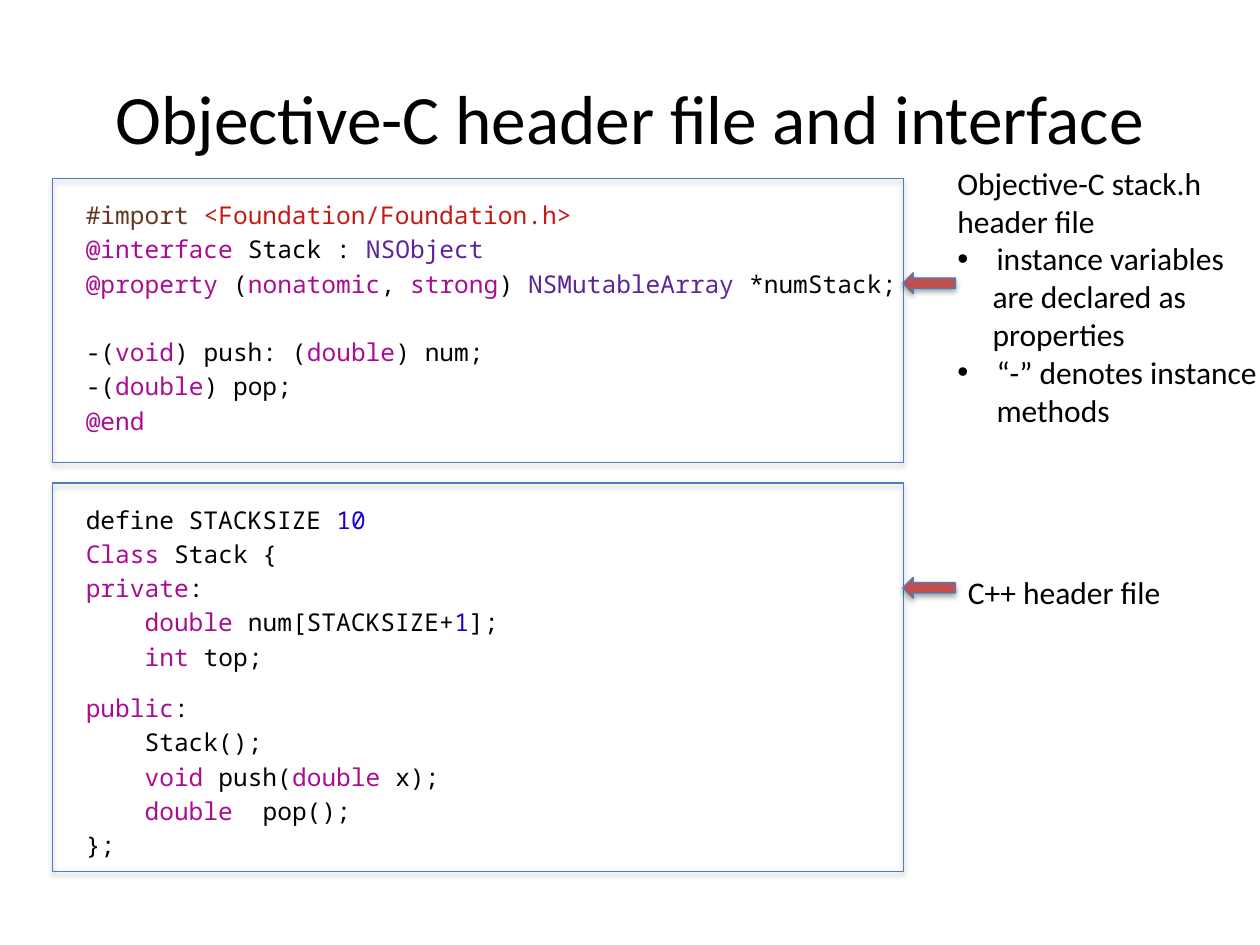
"""Build a slide comparing an Objective-C and a C++ stack header file."""
from lxml import etree
from pptx import Presentation
from pptx.dml.color import RGBColor
from pptx.enum.shapes import MSO_SHAPE as SHAPE
from pptx.enum.text import MSO_ANCHOR as ANCHOR, PP_ALIGN as ALIGN
from pptx.oxml.ns import qn
from pptx.util import Cm, Pt

BLACK = RGBColor(0x00, 0x00, 0x00)
BROWN = RGBColor(0x64, 0x38, 0x20)
RED = RGBColor(0xC4, 0x1A, 0x16)
MAGENTA = RGBColor(0xAA, 0x0D, 0x91)
PURPLE = RGBColor(0x5C, 0x26, 0x99)
BLUE = RGBColor(0x1C, 0x00, 0xCF)
OUTLINE = RGBColor(0x4B, 0x7E, 0xBC)
ARROW = RGBColor(0xC0, 0x50, 0x4D)

LINE = 19.6

OBJC = [
    (0, [("#import ", BROWN), ("<Foundation/Foundation.h>", RED)]),
    (0, [("@interface", MAGENTA), (" Stack : ", BLACK), ("NSObject", PURPLE)]),
    (0, [("@property", MAGENTA), (" (", BLACK), ("nonatomic", MAGENTA), (", ", BLACK),
         ("strong", MAGENTA), (") ", BLACK), ("NSMutableArray", PURPLE),
         (" *numStack;", BLACK)]),
    (LINE, [("-(", BLACK), ("void", MAGENTA), (") push: (", BLACK),
            ("double", MAGENTA), (") num;", BLACK)]),
    (0, [("-(", BLACK), ("double", MAGENTA), (") pop;", BLACK)]),
    (0, [("@end", MAGENTA)]),
]
CPP = [
    (0, [("define STACKSIZE ", BLACK), ("10", BLUE)]),
    (0, [("Class", MAGENTA), (" Stack {", BLACK)]),
    (0, [("private", MAGENTA), (":", BLACK)]),
    (0, [("    double ", MAGENTA), ("num[STACKSIZE+", BLACK), ("1", BLUE), ("];", BLACK)]),
    (0, [("    int", MAGENTA), (" top;", BLACK)]),
    (LINE / 2, [("public", MAGENTA), (":", BLACK)]),
    (0, [("    Stack();", BLACK)]),
    (0, [("    void", MAGENTA), (" push(", BLACK), ("double", MAGENTA), (" x);", BLACK)]),
    (0, [("    double", MAGENTA), ("  pop();", BLACK)]),
    (0, [("};", BLACK)]),
]
NOTES = [
    ("Objective-C stack.h header file", 0, False),
    ("instance variables", 0.79, True),
    ("are declared as", 0.71, False),
    ("properties", 0.71, False),
    ("“-” denotes instance methods", 0.79, True),
]

prs = Presentation()
prs.slide_width, prs.slide_height = Cm(25.4), Cm(19.05)
slide = prs.slides.add_slide(prs.slide_layouts[6])


def add_text(left, top, width, height, wrap=True):
    tf = slide.shapes.add_textbox(Cm(left), Cm(top), Cm(width), Cm(height)).text_frame
    tf.word_wrap = wrap
    return tf


def set_font(item, size, name="Calibri", color=BLACK):
    item.font.size = Pt(size)
    item.font.name = name
    item.font.color.rgb = color


tf = add_text(1.27, 0.76, 22.86, 3.18)
tf.vertical_anchor = ANCHOR.MIDDLE
tf.text = "Objective-C header file and interface"
p = tf.paragraphs[0]
p.alignment = ALIGN.CENTER
set_font(p.runs[0], 39.6)

for code, top, width, height in [(OBJC, 3.81, 19.05, 5.72), (CPP, 9.95, 16.71, 8.05)]:
    tf = add_text(1.48, top, width, height)
    for i, (gap, pieces) in enumerate(code):
        p = tf.add_paragraph() if i else tf.paragraphs[0]
        p.line_spacing = Pt(LINE)
        p.space_before = Pt(gap)
        for text, color in pieces:
            r = p.add_run()
            r.text = text
            set_font(r, 14, "Noto Sans Mono", color)

for kind, left, top, width, height in [
    (SHAPE.RECTANGLE, 1.06, 3.6, 17.15, 5.72),
    (SHAPE.RECTANGLE, 1.06, 9.74, 17.15, 7.83),
    (SHAPE.LEFT_ARROW, 18.2, 5.5, 1.06, 0.42),
    (SHAPE.LEFT_ARROW, 18.2, 11.64, 1.06, 0.42),
]:
    s = slide.shapes.add_shape(kind, Cm(left), Cm(top), Cm(width), Cm(height))
    if kind == SHAPE.LEFT_ARROW:
        s.fill.solid()
        s.fill.fore_color.rgb = ARROW
    else:
        s.fill.background()
    s.line.color.rgb = OUTLINE
    s.line.width = Pt(0.75)
    s.shadow.inherit = False
    effects = s._element.spPr.find(qn("a:effectLst"))
    shadow = etree.SubElement(effects, qn("a:outerShdw"), blurRad="40000",
                              dist="23000", dir="5400000", rotWithShape="0")
    color = etree.SubElement(shadow, qn("a:srgbClr"), val="000000")
    etree.SubElement(color, qn("a:alpha"), val="35000")

tf = add_text(19.05, 3.18, 6.99, 5.64)
for i, (text, indent, bullet) in enumerate(NOTES):
    p = tf.add_paragraph() if i else tf.paragraphs[0]
    p.text = text
    pPr = p._p.get_or_add_pPr()
    pPr.set("marL", str(Cm(indent)))
    if bullet:
        pPr.set("indent", str(-Cm(indent)))
        etree.SubElement(pPr, qn("a:buFont"), typeface="Arial")
        etree.SubElement(pPr, qn("a:buChar"), char="•")
    set_font(p.runs[0], 18)

tf = add_text(19.26, 11.43, 4.42, 1.02, wrap=False)
tf.text = "C++ header file"
set_font(tf.paragraphs[0].runs[0], 18)

prs.save("out.pptx")
